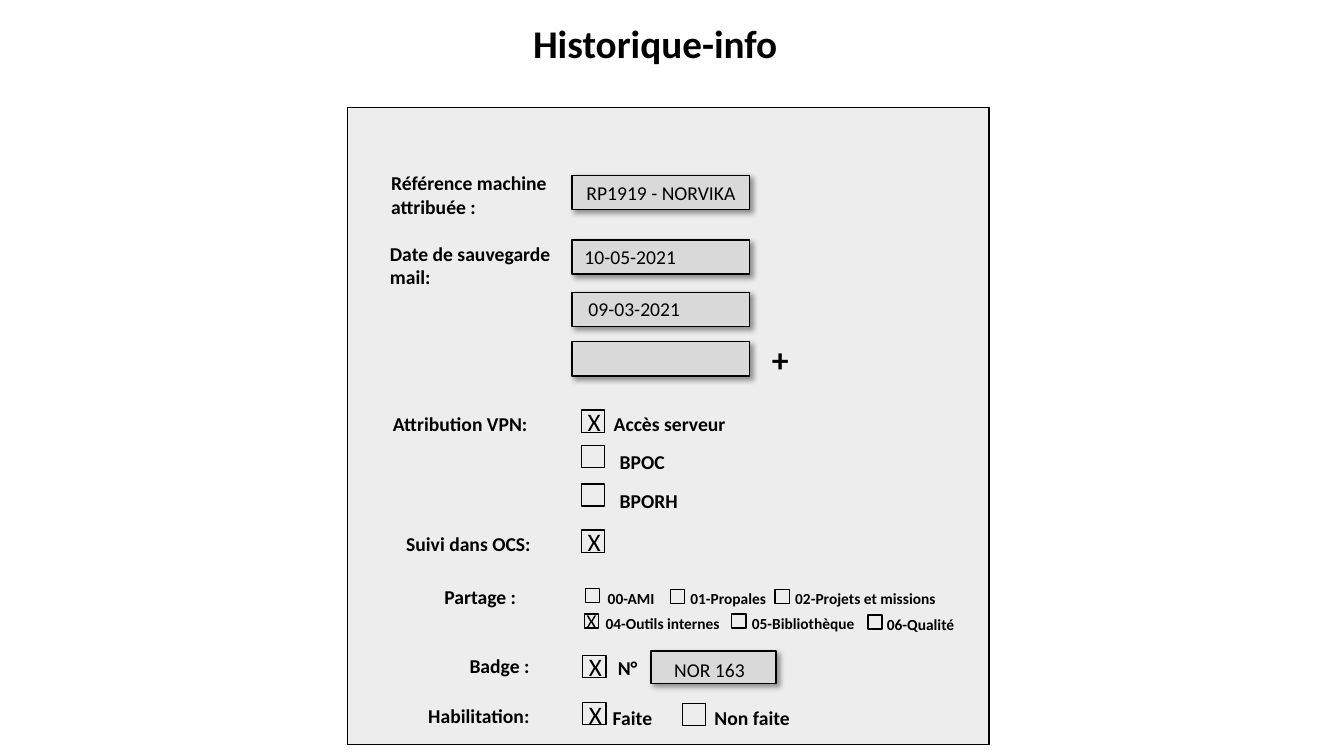
"""Build the "Historique-info" form slide."""
from lxml import etree
from pptx import Presentation
from pptx.dml.color import RGBColor
from pptx.enum.shapes import MSO_SHAPE
from pptx.oxml.ns import qn
from pptx.util import Pt

prs = Presentation()
prs.slide_width, prs.slide_height = Pt(960), Pt(540)
s = prs.slides.add_slide(prs.slide_layouts[6])


def add_rect(x, y, w, h, fill=None, shadow=False):
    sp = s.shapes.add_shape(MSO_SHAPE.RECTANGLE, Pt(x), Pt(y), Pt(w), Pt(h))
    sp.shadow.inherit = False
    if fill:
        sp.fill.solid()
        sp.fill.fore_color.rgb = RGBColor.from_string(fill)
    else:
        sp.fill.background()
    sp.line.color.rgb = RGBColor.from_string("000000")
    sp.line.width = Pt(1)
    if shadow:
        effects = sp._element.spPr.find(qn("a:effectLst"))
        outer = etree.SubElement(effects, qn("a:outerShdw"), blurRad=str(Pt(4)), dist=str(Pt(3)),
                                 dir=str(45 * 60000), algn="tl", rotWithShape="0")
        clr = etree.SubElement(outer, qn("a:srgbClr"), val="000000")
        etree.SubElement(clr, qn("a:alpha"), val="40000")


def add_text(text, x, y, w, h=24.5, size=14, bold=True, color="000000"):
    tf = s.shapes.add_textbox(Pt(x), Pt(y), Pt(w), Pt(h)).text_frame
    tf.word_wrap = True
    r = tf.paragraphs[0].add_run()
    r.text = text
    r.font.name, r.font.size, r.font.bold = "Calibri", Pt(size), bold
    r.font.color.rgb = RGBColor.from_string(color)


add_rect(248.4, 77, 458, 455, fill="EDEDED")
add_text("Historique-info", 373.7, 10.1, 261.4, h=41, size=28)

labels = [
    ("Référence machine attribuée :", 272.2, 118.8, 146),
    ("Date de sauvegarde mail:", 271.4, 169.2, 133.2),
    ("Attribution VPN:", 273.6, 290.9, 146),
    ("Suivi dans OCS:", 283, 376.6, 146),
    ("Partage :", 310.3, 414, 90.7),
    ("Badge :", 328.3, 463.7, 90.7),
    ("Habilitation:", 298.8, 499, 109.4),
]
for text, x, y, w in labels:
    add_text(text, x, y, w)

fields = [
    ("RP1919 - NORVIKA", 408.5, 125.3, 126.7, 24.5, 411.8, 126),
    ("10-05-2021", 408.5, 171.4, 126.7, 24.5, 410.4, 171.4),
    ("09-03-2021", 408.5, 208.8, 126.7, 24.5, 413.3, 208.8),
    ("", 408.5, 244.1, 126.7, 24.5, 0, 0),
    ("NOR 163", 465.1, 465.1, 89.3, 23, 474.5, 466.6),
]
for text, x, y, w, h, text_x, text_y in fields:
    add_rect(x, y, w, h, fill="D9D9D9", shadow=True)
    if text:
        add_text(text, text_x, text_y, 127.4, bold=False)
add_text("+", 544.3, 238.3, 33, h=36, size=24)

options = [
    ("Accès serveur", 415.4, 293, 431.3, 290.9, True),
    ("BPOC", 415.4, 318.2, 435.6, 318.2, False),
    ("BPORH", 415.4, 345.6, 435.6, 345.6, False),
    ("", 415.4, 378.7, 0, 0, True),
    ("N°", 416.2, 468, 434.2, 465.1, True),
    ("Faite", 416.2, 501.8, 430.6, 500.4, True),
    ("Non faite", 487.4, 502.6, 503.3, 500.4, False),
]
for text, x, y, text_x, text_y, checked in options:
    add_rect(x, y, 16.6, 15.8)
    if text:
        add_text(text, text_x, text_y, 103.7)
    if checked:
        add_text("X", x - 2.7, y - 6.2, 34, h=29, size=18, bold=False)

shares = [
    ("00-AMI", 418.3, 420.5, 427, False),
    ("01-Propales", 478.8, 421.2, 486, False),
    ("02-Projets et missions", 553.7, 421.2, 560.9, False),
    ("04-Outils internes", 417.6, 438.5, 425.5, True),
    ("05-Bibliothèque", 522.7, 438.5, 529.9, False),
    ("06-Qualité", 619.9, 439.2, 626.4, False),
]
for text, x, y, text_x, checked in shares:
    add_rect(x, y, 10.1, 10.1)
    add_text(text, text_x, y - 3.6, 123.8, h=20.9, size=11)
    if checked:
        add_text("X", x - 5.8, y - 7.2, 23.8, bold=False)

prs.save("out.pptx")
